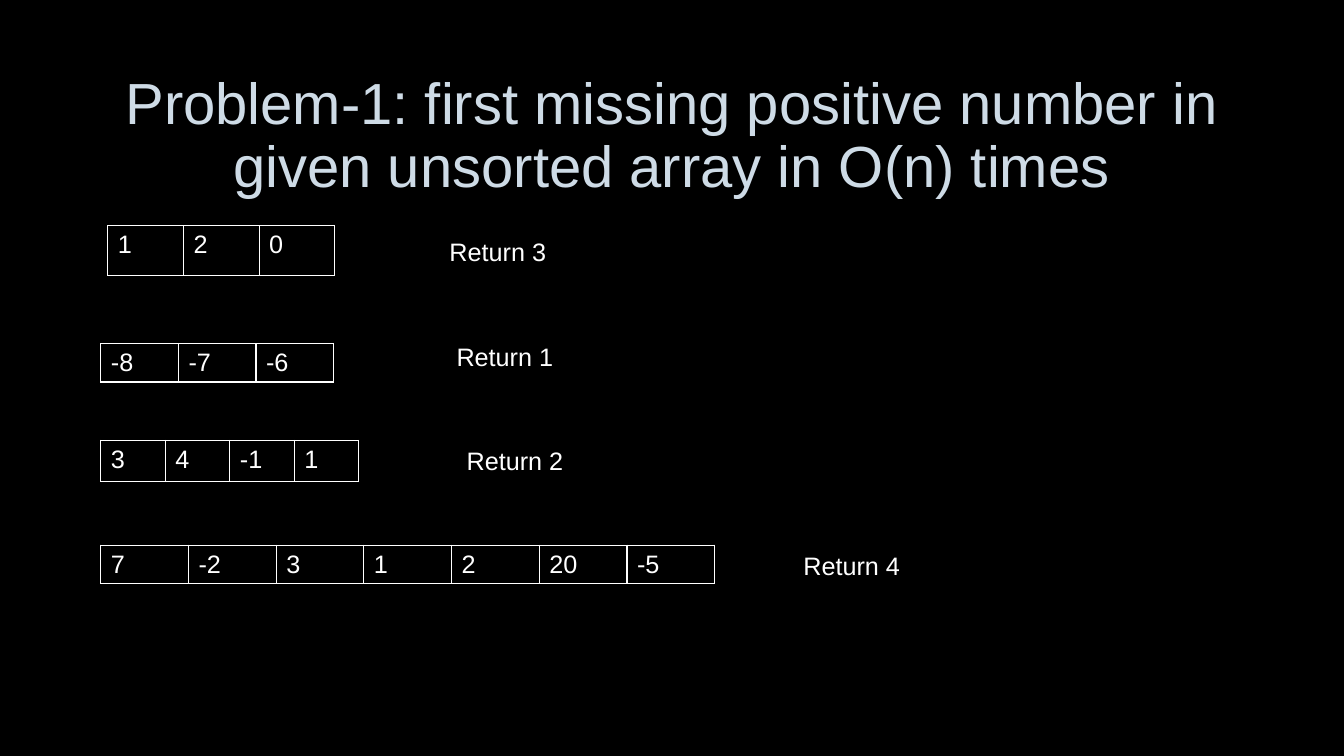
from dataclasses import dataclass

from lxml.etree import SubElement
from pptx import Presentation
from pptx.dml.color import RGBColor
from pptx.enum.text import MSO_ANCHOR, MSO_AUTO_SIZE, PP_ALIGN
from pptx.oxml.ns import qn
from pptx.slide import Slide
from pptx.table import _Cell
from pptx.text.text import _Paragraph
from pptx.util import Inches, Pt


@dataclass(frozen=True)
class Theme:
    font: str = "Arial"
    background: str = "000000"
    title_color: str = "CEDBE6"
    text_color: str = "FFFFFF"
    border_color: str = "FFFFFF"
    title_size: float = 41.4
    text_size: float = 18
    border_width: float = 1


@dataclass(frozen=True)
class ArrayExample:
    values: tuple[int, ...]
    left: float
    top: float
    cell_width: float
    height: float
    answer: int
    answer_left: float
    answer_top: float
    answer_width: float


THEME = Theme()
TITLE = "Problem-1: first missing positive number in given unsorted array in O(n) times"
EXAMPLES = (
    ArrayExample((1, 2, 0), 1.07, 2.24, 0.75, 0.49, 3, 4.36, 2.3, 3.17),
    ArrayExample((-8, -7, -6), 1, 3.41, 0.77, 0.37, 1, 4.43, 3.34, 3.83),
    ArrayExample((3, 4, -1, 1), 1, 4.37, 0.64, 0.41, 2, 4.53, 4.37, 3.73),
    ArrayExample((7, -2, 3, 1, 2, 20, -5), 1, 5.41, 0.87, 0.37, 4, 7.87, 5.41, 2.17),
)


def add_text(paragraph: _Paragraph, text: str, size: float, color: str) -> None:
    run = paragraph.add_run()
    run.text = text
    run.font.name = THEME.font
    run.font.size = Pt(size)
    run.font.color.rgb = RGBColor.from_string(color)


def add_borders(cell: _Cell) -> None:
    properties = cell._tc.get_or_add_tcPr()
    for position, side in enumerate(("lnL", "lnR", "lnT", "lnB")):
        line = SubElement(properties, qn(f"a:{side}"), w=str(Pt(THEME.border_width)))
        fill = SubElement(line, qn("a:solidFill"))
        SubElement(fill, qn("a:srgbClr"), val=THEME.border_color)
        properties.insert(position, line)


def add_title(slide: Slide) -> None:
    title = slide.shapes.title
    title.left, title.top = Inches(1), Inches(0.67)
    title.width, title.height = Inches(11.32), Inches(1.38)
    frame = title.text_frame
    frame.word_wrap = True
    frame.auto_size = MSO_AUTO_SIZE.NONE
    frame.vertical_anchor = MSO_ANCHOR.MIDDLE
    paragraph = frame.paragraphs[0]
    paragraph.alignment = PP_ALIGN.CENTER
    paragraph.line_spacing = 0.9
    paragraph.space_before = Pt(0)
    add_text(paragraph, TITLE, THEME.title_size, THEME.title_color)


def add_array(slide: Slide, example: ArrayExample) -> None:
    count = len(example.values)
    table = slide.shapes.add_table(
        1, count, Inches(example.left), Inches(example.top),
        Inches(example.cell_width * count), Inches(example.height),
    ).table
    table.first_row = False
    table.horz_banding = False
    for column, value in enumerate(example.values):
        table.columns[column].width = Inches(example.cell_width)
        cell = table.cell(0, column)
        cell.fill.background()
        add_borders(cell)
        add_text(cell.text_frame.paragraphs[0], str(value), THEME.text_size, THEME.text_color)


def add_answer(slide: Slide, example: ArrayExample) -> None:
    frame = slide.shapes.add_textbox(
        Inches(example.answer_left), Inches(example.answer_top),
        Inches(example.answer_width), Inches(0.4),
    ).text_frame
    frame.word_wrap = True
    frame.auto_size = MSO_AUTO_SIZE.SHAPE_TO_FIT_TEXT
    add_text(frame.paragraphs[0], f"Return {example.answer}", THEME.text_size, THEME.text_color)


def main() -> None:
    presentation = Presentation()
    presentation.slide_width = Inches(13.33)
    presentation.slide_height = Inches(7.5)
    slide = presentation.slides.add_slide(presentation.slide_layouts.get_by_name("Title Only"))
    background = slide.background.fill
    background.solid()
    background.fore_color.rgb = RGBColor.from_string(THEME.background)
    add_title(slide)
    for example in EXAMPLES:
        add_array(slide, example)
    for example in EXAMPLES:
        add_answer(slide, example)
    presentation.save("out.pptx")


if __name__ == "__main__":
    main()
